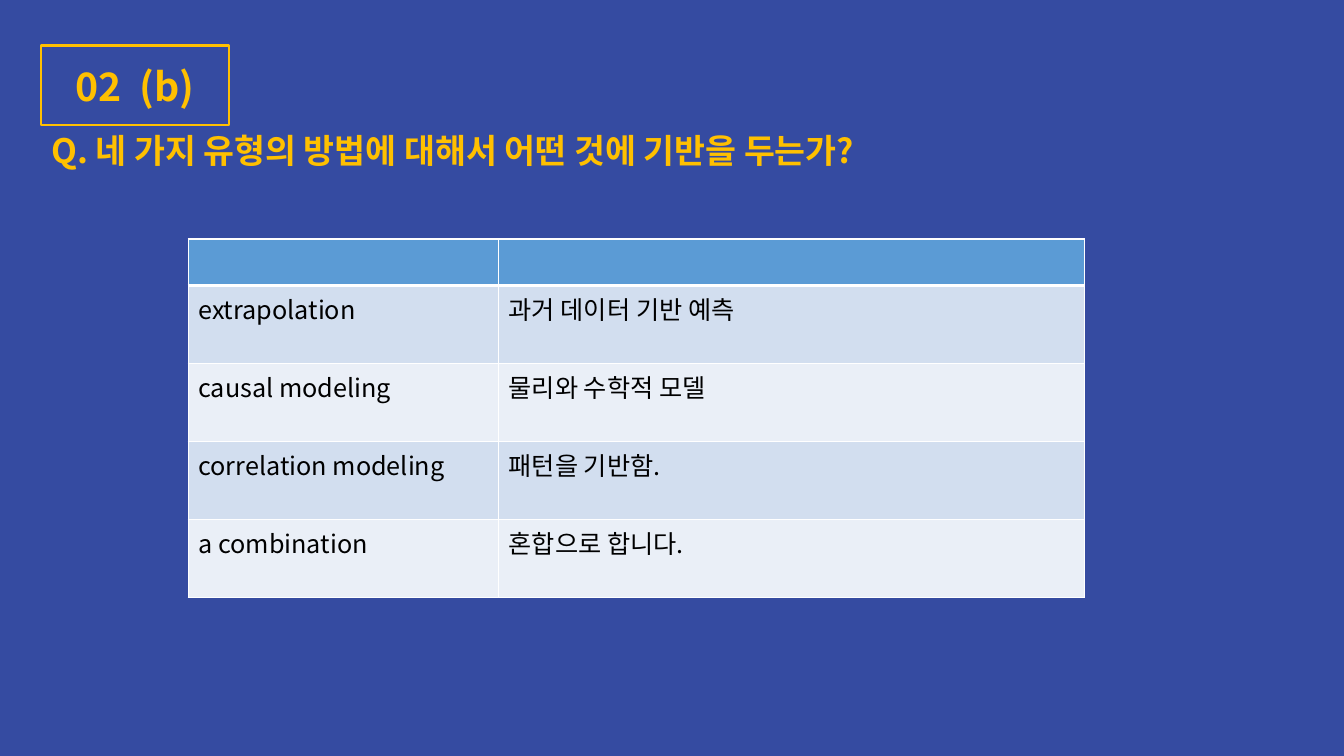
from dataclasses import dataclass

from lxml import etree
from pptx import Presentation
from pptx import util as u
from pptx.dml.color import RGBColor
from pptx.enum import shapes, text
from pptx.oxml.ns import qn

Pt = u.Pt


@dataclass(frozen=True)
class Theme:
    font: str = "Noto Sans CJK KR"
    background: str = "354BA1"
    accent: str = "FFC000"
    ink: str = "000000"
    header: str = "5B9BD5"
    bands: tuple = ("D2DEEF", "EAEFF7")
    border: str = "FFFFFF"
    label_size: int = 28
    question_size: int = 24
    cell_size: int = 18


class Deck:
    """Holds the theme and the current slide."""

    def __init__(self, prs, theme):
        self.theme = theme
        self.s = prs.slides.add_slide(prs.slide_layouts[6])
        fill = self.s.background.fill
        fill.solid()
        fill.fore_color.rgb = RGBColor.from_string(theme.background)

    def set_text(self, tf, words, size, color, bold=False):
        tf.text = words
        for p in tf.paragraphs:
            for r in p.runs:
                r.font.name = self.theme.font
                r.font.size = Pt(size)
                r.font.bold = bold
                r.font.color.rgb = RGBColor.from_string(color)
                # East Asian glyphs need their own font entry
                ea = etree.SubElement(r._r.get_or_add_rPr(), qn("a:ea"))
                ea.set("typeface", self.theme.font)

    def label(self, words, x, y, w, h):
        sp = self.s.shapes.add_shape(
            shapes.MSO_SHAPE.RECTANGLE, Pt(x), Pt(y), Pt(w), Pt(h))
        sp.shadow.inherit = False
        sp.fill.background()
        sp.line.color.rgb = RGBColor.from_string(self.theme.accent)
        sp.line.width = Pt(1.5)
        tf = sp.text_frame
        tf.vertical_anchor = text.MSO_ANCHOR.MIDDLE
        self.set_text(tf, words, self.theme.label_size, self.theme.accent, True)
        tf.paragraphs[0].alignment = text.PP_ALIGN.CENTER

    def question(self, words, x, y, w, h):
        tf = self.s.shapes.add_textbox(Pt(x), Pt(y), Pt(w), Pt(h)).text_frame
        tf.word_wrap = True
        tf.auto_size = text.MSO_AUTO_SIZE.SHAPE_TO_FIT_TEXT
        self.set_text(tf, words, self.theme.question_size, self.theme.accent, True)

    def borders(self, cell, widths):
        tc_pr = cell._tc.get_or_add_tcPr()
        for i, (side, width) in enumerate(widths.items()):
            ln = etree.Element(qn(f"a:ln{side}"), w=str(Pt(width)))
            fill = etree.SubElement(ln, qn("a:solidFill"))
            etree.SubElement(fill, qn("a:srgbClr"), val=self.theme.border)
            tc_pr.insert(i, ln)

    def table(self, rows, x, y, col_widths, row_heights):
        th = self.theme
        tbl = self.s.shapes.add_table(
            len(rows), len(col_widths), Pt(x), Pt(y),
            Pt(sum(col_widths)), Pt(sum(row_heights))).table
        for col, width in zip(tbl.columns, col_widths):
            col.width = Pt(width)
        for i, (row, height) in enumerate(zip(rows, row_heights)):
            tbl.rows[i].height = Pt(height)
            color = th.bands[(i - 1) % 2] if i else th.header
            # A heavy rule separates the header from the body
            widths = {"L": 1, "R": 1, "T": 3 if i == 1 else 1,
                      "B": 3 if i == 0 else 1}
            for j, words in enumerate(row):
                cell = tbl.cell(i, j)
                cell.fill.solid()
                cell.fill.fore_color.rgb = RGBColor.from_string(color)
                self.borders(cell, widths)
                if words:
                    self.set_text(cell.text_frame, words, th.cell_size, th.ink)


prs = Presentation()
prs.slide_width, prs.slide_height = Pt(960), Pt(540)
deck = Deck(prs, Theme())

# Heading
deck.label("02  (b)", 29.5, 32.5, 134, 57)
deck.question("Q. 네 가지 유형의 방법에 대해서 어떤 것에 기반을 두는가?",
              29.5, 89.5, 823, 36)

# Forecasting methods and their basis
methods = [
    ("", ""),
    ("extrapolation", "과거 데이터 기반 예측"),
    ("causal modeling", "물리와 수학적 모델"),
    ("correlation modeling", "패턴을 기반함."),
    ("a combination", "혼합으로 합니다."),
]
deck.table(methods, 134.5, 170.75, (221.75, 418.25),
           [33.25] + [55.75] * (len(methods) - 1))

prs.save("out.pptx")
